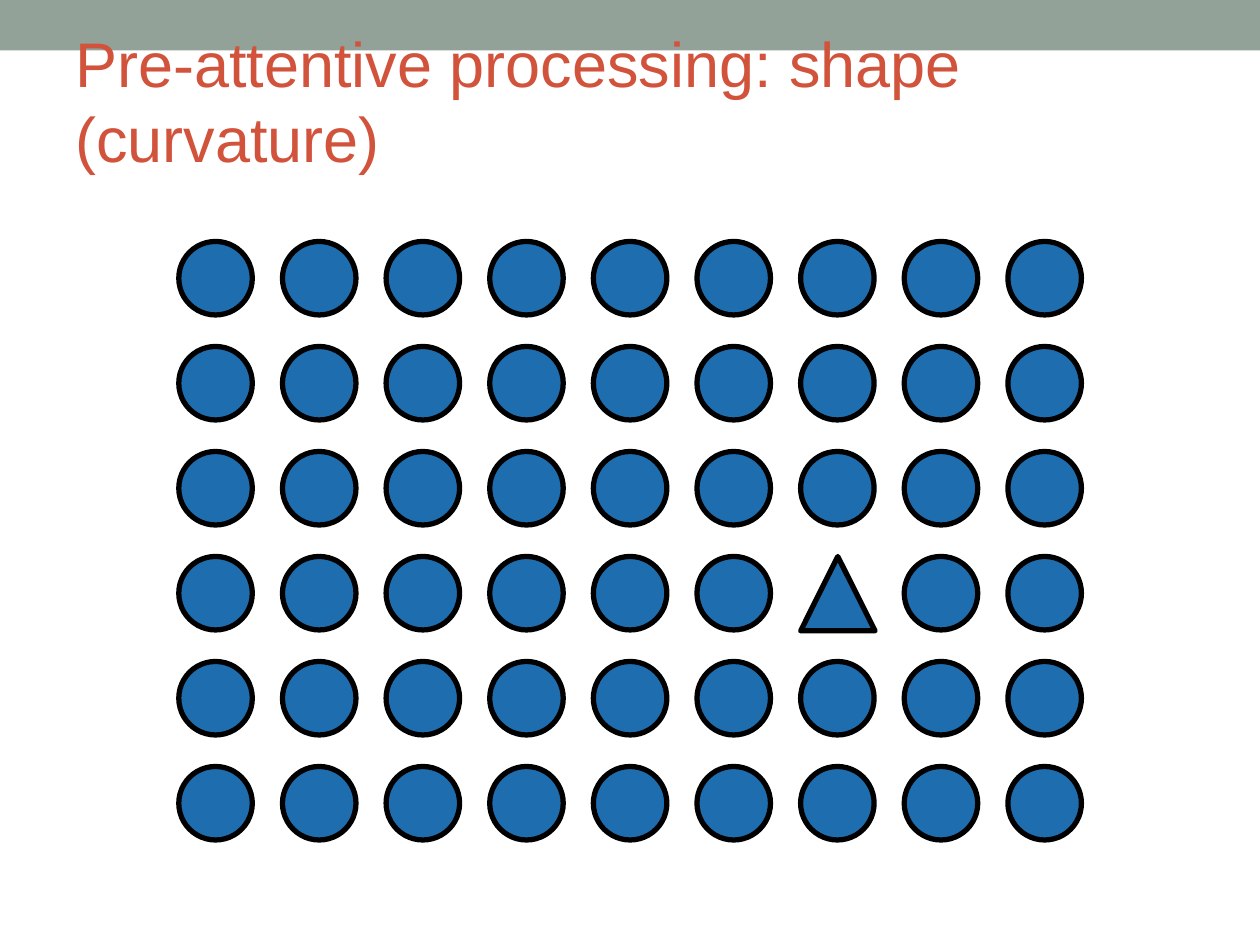
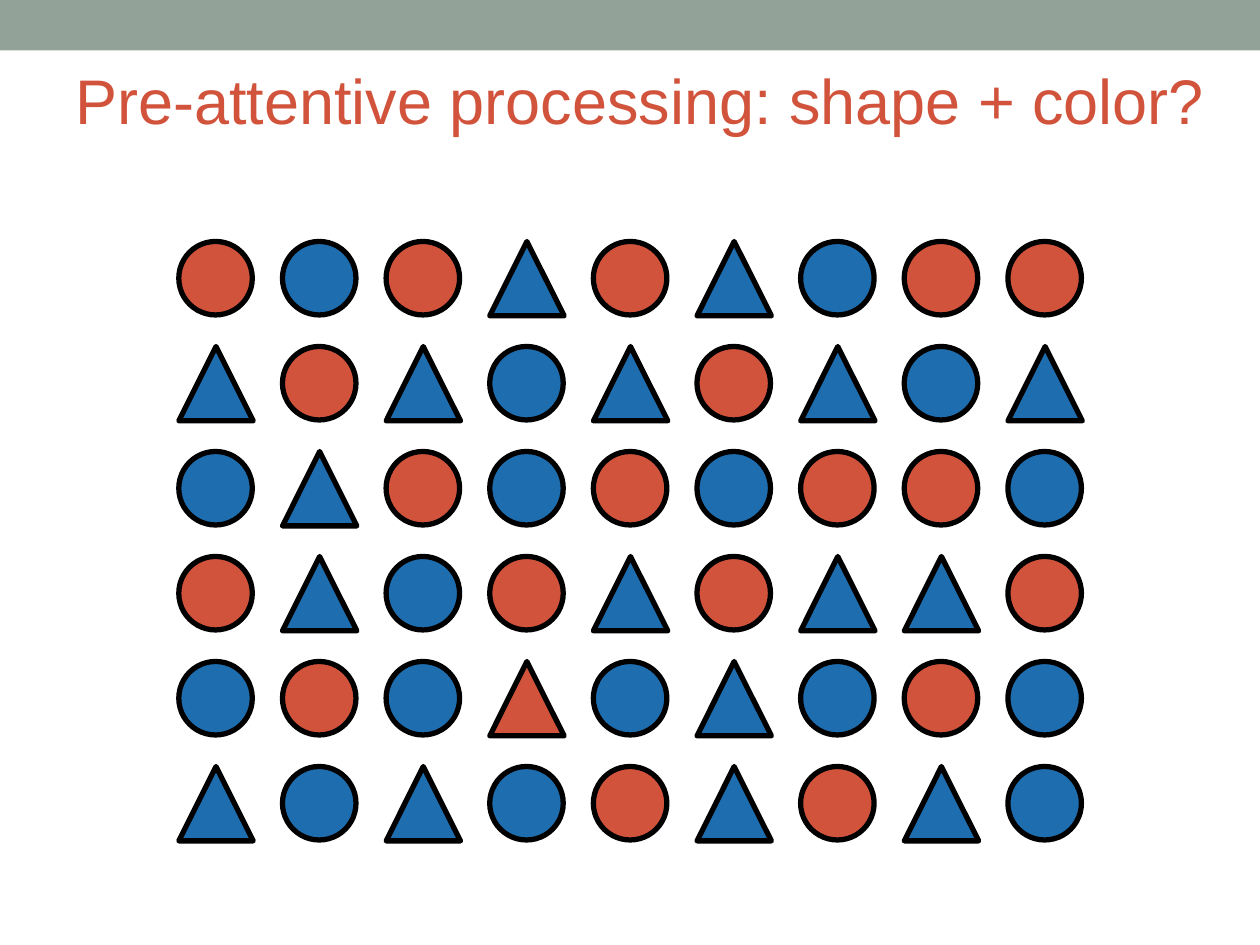
"""Build two slides on pre-attentive processing, each a grid of marks under a title."""
from lxml import etree
from pptx import Presentation
from pptx import util as u
from pptx.dml import color
from pptx.enum import shapes, text
from pptx.oxml import ns

Pt = u.Pt
hues = {"band": "93A299", "title": "D2533C", "red": "D2533C",
        "blue": "1E6DAE", "edge": "000000"}
kinds = shapes.MSO_SHAPE
marks = {
    "B": (kinds.OVAL, "blue", 42),
    "R": (kinds.OVAL, "red", 42),
    "T": (kinds.ISOSCELES_TRIANGLE, "blue", 42.5),
    "X": (kinds.ISOSCELES_TRIANGLE, "red", 42.5),
}
left, top = 102.2, 138
col_gap, row_gap = 59.22, 60

pages = [
    ("Pre-attentive processing: shape (curvature)", 666, [
        "BBBBBBBBB",
        "BBBBBBBBB",
        "BBBBBBBBB",
        "BBBBBBTBB",
        "BBBBBBBBB",
        "BBBBBBBBB",
    ]),
    ("Pre-attentive processing: shape + color?", 684, [
        "RBRTRTBRR",
        "TRTBTRTBT",
        "BTRBRBRRB",
        "RTBRTRTTR",
        "BRBXBTBRB",
        "TBTBRTRTB",
    ]),
]


def rgb(name):
    return color.RGBColor.from_string(hues[name])


def draw(slide, kind, hue, x, y, wide, high):
    shape = slide.shapes.add_shape(kind, Pt(x), Pt(y), Pt(wide), Pt(high))
    shape.shadow.inherit = False
    shape.fill.solid()
    shape.fill.fore_color.rgb = rgb(hue)
    shape.line.fill.background()
    return shape


deck = Presentation()
deck.slide_width, deck.slide_height = Pt(720), Pt(540)

for title, wide, grid in pages:
    slide = deck.slides.add_slide(deck.slide_layouts[6])
    draw(slide, kinds.RECTANGLE, "band", 0, 0, 720, 28.8)

    box = slide.shapes.add_textbox(Pt(36), Pt(18), Pt(wide), Pt(78))
    frame = box.text_frame
    frame.word_wrap = True
    frame.vertical_anchor = text.MSO_ANCHOR.MIDDLE
    frame.text = title
    font = frame.paragraphs[0].runs[0].font
    font.name, font.size = "Arial", Pt(36)
    font.color.rgb = rgb("title")

    for row, line in enumerate(grid):
        for col, key in enumerate(line):
            kind, hue, size = marks[key]
            mark = draw(slide, kind, hue, left + col * col_gap,
                        top + row * row_gap, size, size)
            mark.line.color.rgb = rgb("edge")
            mark.line.width = Pt(3)
            edge = mark.line._get_or_add_ln()
            etree.SubElement(edge, ns.qn("a:round"))

deck.save("out.pptx")
